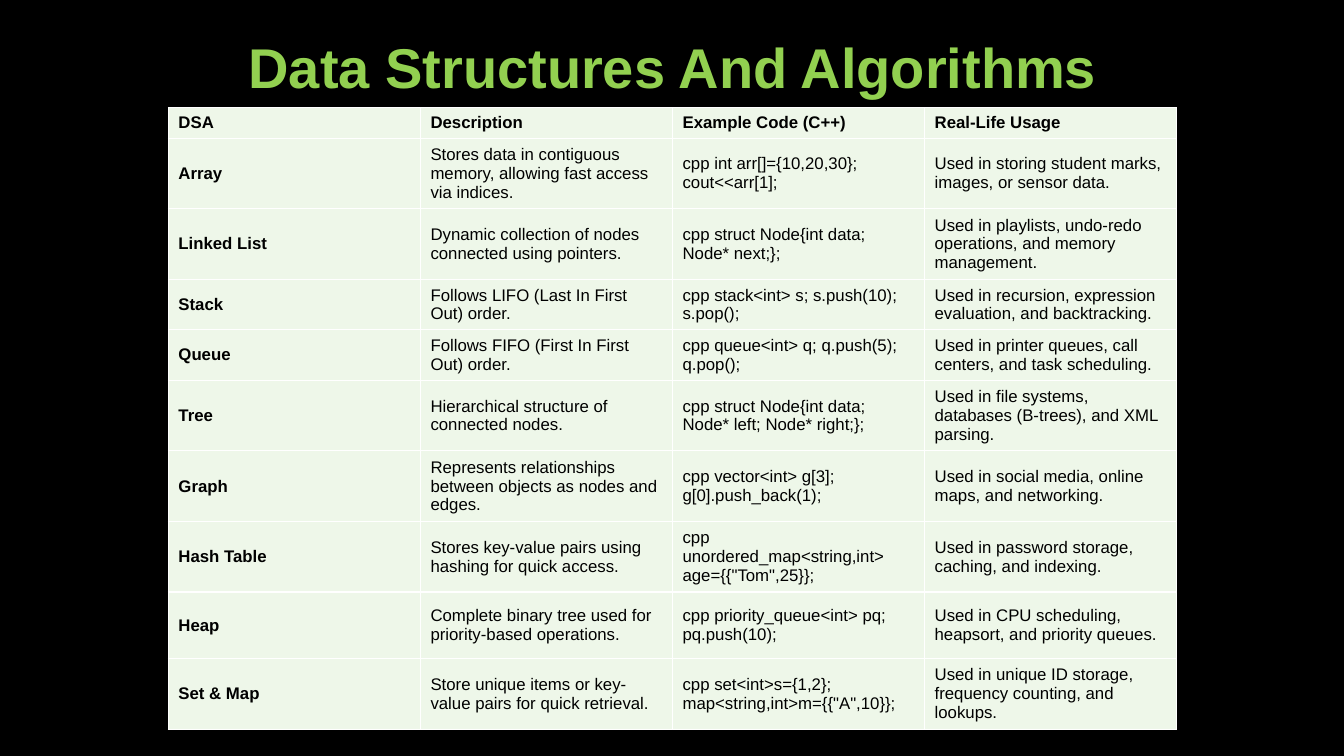
from typing import NamedTuple

from lxml import etree
from pptx import Presentation
from pptx.dml.color import RGBColor
from pptx.enum.text import MSO_ANCHOR, PP_ALIGN
from pptx.oxml.ns import qn
from pptx.util import Emu, Pt

BOTTOM, MIDDLE = MSO_ANCHOR.BOTTOM, MSO_ANCHOR.MIDDLE
CENTER = PP_ALIGN.CENTER

EMU_PER_PX = 9144  # 100 px to the inch
FONT = "Arial"
COLORS = {
    "background": "000000",
    "title": "92D050",
    "text": "000000",
    "cell": "EEF7E9",
    "border": "FFFFFF",
}
LEFT, WIDTH = 167, 1000
TITLE_TOP, TITLE_HEIGHT = 29, 76
TABLE_TOP = 107


class Topic(NamedTuple):
    name: str
    description: str
    code: str
    usage: str


HEADER = Topic("DSA", "Description", "Example Code (C++)", "Real-Life Usage")
TOPICS = [
    Topic("Array",
          "Stores data in contiguous memory, allowing fast access via indices.",
          "cpp int arr[]={10,20,30}; cout<<arr[1];",
          "Used in storing student marks, images, or sensor data."),
    Topic("Linked List",
          "Dynamic collection of nodes connected using pointers.",
          "cpp struct Node{int data; Node* next;};",
          "Used in playlists, undo-redo operations, and memory management."),
    Topic("Stack",
          "Follows LIFO (Last In First Out) order.",
          "cpp stack<int> s; s.push(10); s.pop();",
          "Used in recursion, expression evaluation, and backtracking."),
    Topic("Queue",
          "Follows FIFO (First In First Out) order.",
          "cpp queue<int> q; q.push(5); q.pop();",
          "Used in printer queues, call centers, and task scheduling."),
    Topic("Tree",
          "Hierarchical structure of connected nodes.",
          "cpp struct Node{int data; Node* left; Node* right;};",
          "Used in file systems, databases (B-trees), and XML parsing."),
    Topic("Graph",
          "Represents relationships between objects as nodes and edges.",
          "cpp vector<int> g[3]; g[0].push_back(1);",
          "Used in social media, online maps, and networking."),
    Topic("Hash Table",
          "Stores key-value pairs using hashing for quick access.",
          'cpp unordered_map<string,int> age={{"Tom",25}};',
          "Used in password storage, caching, and indexing."),
    Topic("Heap",
          "Complete binary tree used for priority-based operations.",
          "cpp priority_queue<int> pq; pq.push(10);",
          "Used in CPU scheduling, heapsort, and priority queues."),
    Topic("Set & Map",
          "Store unique items or key-value pairs for quick retrieval.",
          'cpp set<int>s={1,2}; map<string,int>m={{"A",10}};',
          "Used in unique ID storage, frequency counting, and lookups."),
]
ROW_HEIGHT = 66
SPECIAL_HEIGHTS = {"DSA": 28, "Stack": 50, "Queue": 47}


def px(length: int) -> Emu:
    return Emu(length * EMU_PER_PX)


def color(name: str) -> RGBColor:
    return RGBColor.from_string(COLORS[name])


def style_paragraph(para, size: int, color_name: str, bold: bool) -> None:
    font = para.font
    font.name = FONT
    font.size = Pt(size)
    font.bold = bold
    font.color.rgb = color(color_name)


def add_borders(cell) -> None:
    properties = cell._tc.get_or_add_tcPr()
    for side in ("a:lnL", "a:lnR", "a:lnT", "a:lnB"):
        line = etree.SubElement(properties, qn(side), w=str(Pt(1)))
        fill = etree.SubElement(line, qn("a:solidFill"))
        etree.SubElement(fill, qn("a:srgbClr"), val=COLORS["border"])


def add_title(page, text: str) -> None:
    box = page.shapes.add_textbox(px(LEFT), px(TITLE_TOP), px(WIDTH), px(TITLE_HEIGHT))
    frame = box.text_frame
    frame.word_wrap = True
    frame.vertical_anchor = BOTTOM
    para = frame.paragraphs[0]
    para.text = text
    para.alignment = CENTER
    para.line_spacing = 0.9
    style_paragraph(para, 40, "title", True)


def add_topic_table(page, rows: list[Topic]) -> None:
    heights = [SPECIAL_HEIGHTS.get(topic.name, ROW_HEIGHT) for topic in rows]
    frame = page.shapes.add_table(len(rows), len(HEADER), px(LEFT), px(TABLE_TOP),
                                  px(WIDTH), px(sum(heights)))
    table = frame.table
    table.first_row = False
    table.horz_banding = False
    for row_index, (topic, height) in enumerate(zip(rows, heights)):
        table.rows[row_index].height = px(height)
        for column_index, text in enumerate(topic):
            cell = table.cell(row_index, column_index)
            add_borders(cell)
            cell.fill.solid()
            cell.fill.fore_color.rgb = color("cell")
            cell.vertical_anchor = MIDDLE
            para = cell.text_frame.paragraphs[0]
            para.text = text
            style_paragraph(para, 12, "text", row_index == 0 or column_index == 0)


def main() -> None:
    deck = Presentation()
    deck.slide_width, deck.slide_height = px(1333), px(750)
    page = deck.slides.add_slide(deck.slide_layouts[6])

    # Background
    page.background.fill.solid()
    page.background.fill.fore_color.rgb = color("background")

    # Title and table
    add_title(page, "Data Structures And Algorithms")
    add_topic_table(page, [HEADER, *TOPICS])

    deck.save("out.pptx")


if __name__ == "__main__":
    main()
